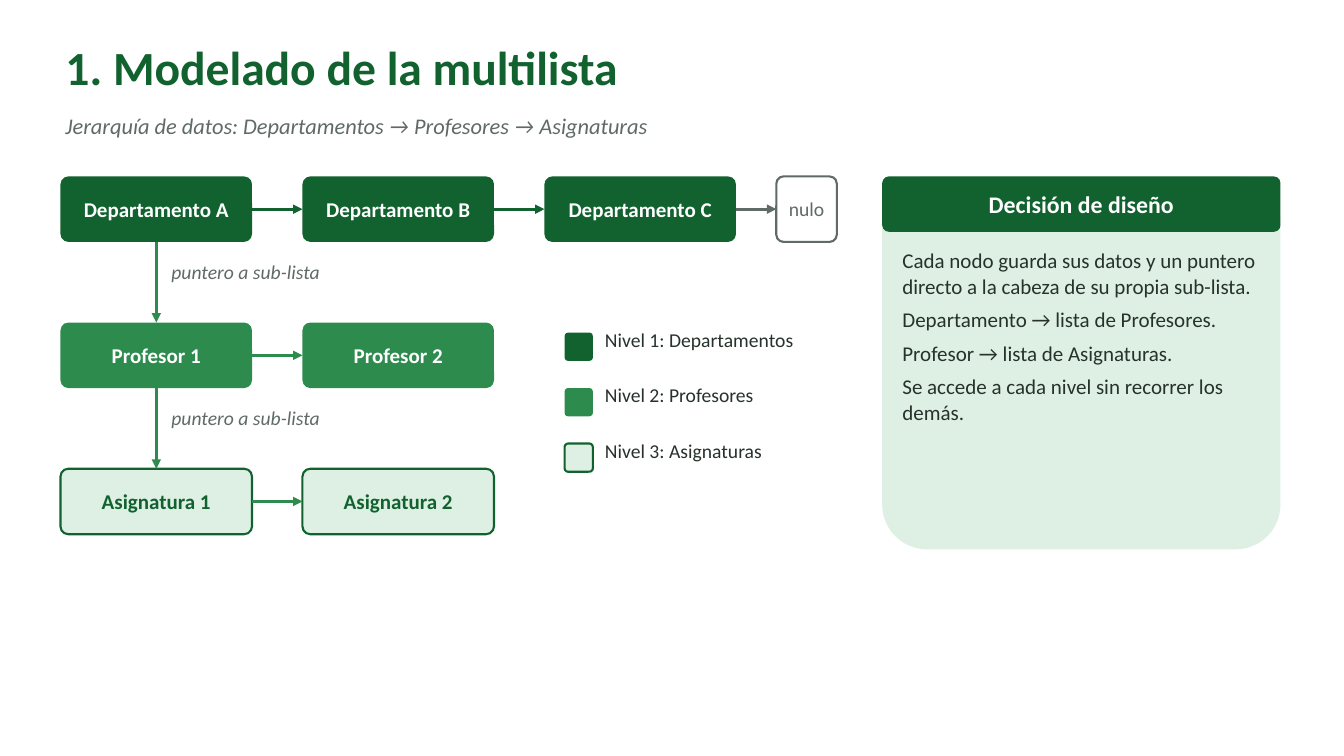
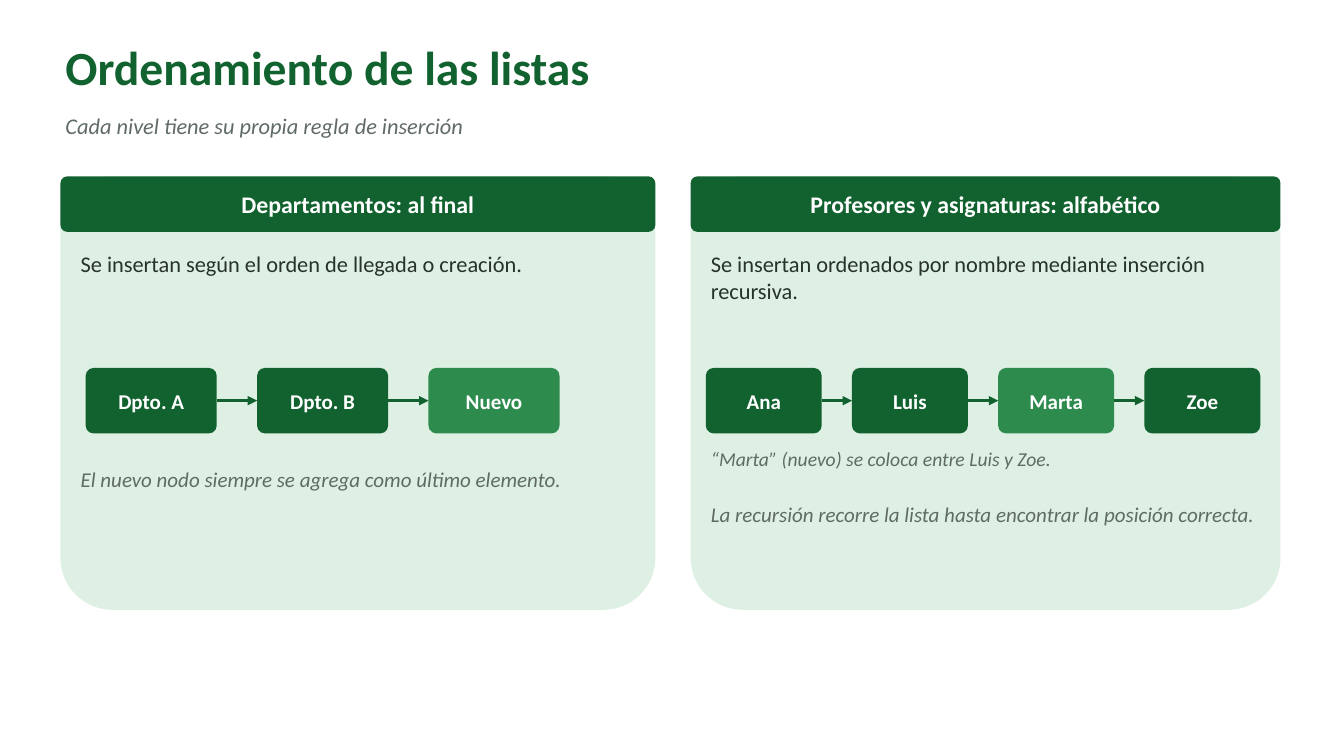
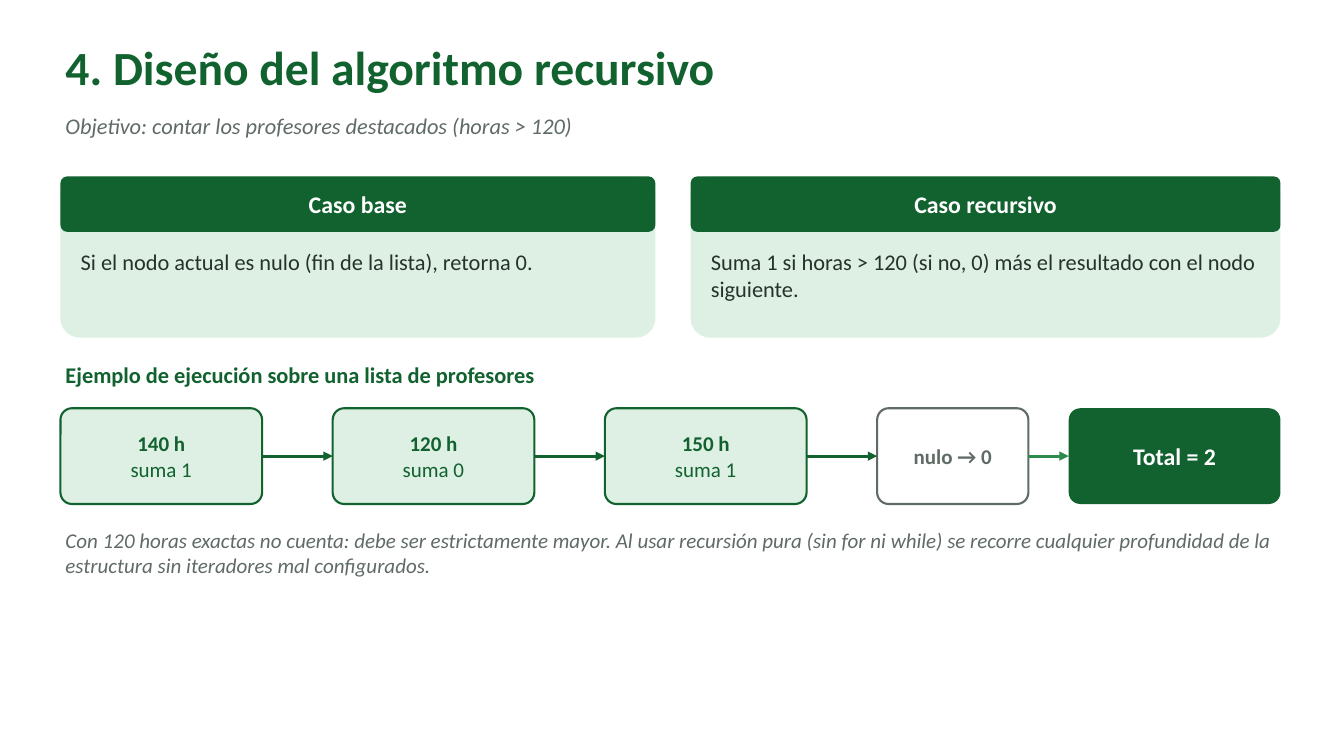
from dataclasses import dataclass, replace
from itertools import pairwise
from typing import NamedTuple

from lxml.etree import SubElement
from pptx import Presentation
from pptx.dml.color import RGBColor as Rgb
from pptx.enum.shapes import MSO_CONNECTOR as Wire, MSO_SHAPE as Kind
from pptx.enum.text import MSO_ANCHOR as Anchor, MSO_AUTO_SIZE as Fit, PP_ALIGN as Align
from pptx.oxml.ns import qn
from pptx.shapes.autoshape import Shape
from pptx.slide import Slide
from pptx.text.text import TextFrame as Frame
from pptx.util import Emu, Pt

PX = 9144
FACE = "Calibri"
HUES = {
    "deep": "11622F",
    "mid": "2E8B4E",
    "pale": "DDF0E3",
    "gray": "5F6B64",
    "ink": "26322B",
    "white": "FFFFFF",
}
LEFT, TOP, FULL = 60, 175, 1210
TOP_SITE, LEFT_SITE, LOW_SITE, RIGHT_SITE = range(4)


class Box(NamedTuple):
    x: int
    y: int
    w: int
    h: int


@dataclass(frozen=True)
class Font:
    size: int
    hue: str
    bold: bool = False
    slant: bool = False


@dataclass(frozen=True)
class Look:
    fill: str | None
    edge: str | None
    font: Font


@dataclass(frozen=True)
class Node:
    text: str
    x: int
    w: int
    look: Look
    link: str = "deep"


TITLE = Font(34, "deep", bold=True)
LEAD = Font(16, "gray", slant=True)
HEAD = Font(16, "deep", bold=True)
BODY = Font(16, "ink")
NOTE = Font(15, "gray", slant=True)
HINT = replace(NOTE, size=14)
KEY = Font(14, "ink")

DEEP = Look("deep", None, Font(15, "white", bold=True))
MID = replace(DEEP, fill="mid")
PALE = Look("pale", "deep", Font(15, "deep", bold=True))
NULL = Look(None, "gray", Font(15, "gray", bold=True))
CARD = Look("pale", None, BODY)
BAND = replace(DEEP, font=replace(DEEP.font, size=17))


def px(n: int) -> Emu:
    return Emu(n * PX)


def tint(hue: str) -> Rgb:
    return Rgb.from_string(HUES[hue])


def write(frame: Frame, text: str, font: Font, pad: tuple[int, int]) -> None:
    frame.word_wrap = True
    frame.margin_left = frame.margin_right = px(pad[0])
    frame.margin_top = frame.margin_bottom = px(pad[1])
    frame.text = text
    for para in frame.paragraphs:
        for run in para.runs:
            run.font.name = FACE
            run.font.size = Pt(font.size)
            run.font.bold = font.bold
            run.font.italic = font.slant
            run.font.color.rgb = tint(font.hue)


def label(slide: Slide, box: Box, text: str, font: Font) -> None:
    frame = slide.shapes.add_textbox(*map(px, box)).text_frame
    write(frame, text, font, (5, 3))
    frame.auto_size = Fit.SHAPE_TO_FIT_TEXT
    for para in frame.paragraphs[1:]:
        para.space_before = Pt(6)


def block(slide: Slide, box: Box, look: Look, text: str = "") -> Shape:
    shape = slide.shapes.add_shape(Kind.ROUNDED_RECTANGLE, *map(px, box))
    shape.adjustments[0] = 0.12
    shape.shadow.inherit = False
    if look.fill:
        shape.fill.solid()
        shape.fill.fore_color.rgb = tint(look.fill)
    else:
        shape.fill.background()
    if look.edge:
        shape.line.color.rgb = tint(look.edge)
        shape.line.width = Pt(1.5)
    else:
        shape.line.fill.background()
    if text:
        frame = shape.text_frame
        write(frame, text, look.font, (8, 4))
        frame.vertical_anchor = Anchor.MIDDLE
        for para in frame.paragraphs:
            para.alignment = Align.CENTER
        for para in frame.paragraphs[1:]:
            para.runs[0].font.bold = False
    return shape


def arrow(slide: Slide, start: Shape, end: Shape, hue: str, down: bool = False) -> None:
    line = slide.shapes.add_connector(Wire.STRAIGHT, 0, 0, 0, 0)
    line.begin_connect(start, LOW_SITE if down else RIGHT_SITE)
    line.end_connect(end, TOP_SITE if down else LEFT_SITE)
    line.line.color.rgb = tint(hue)
    line.line.width = Pt(2.25)
    SubElement(line.line._get_or_add_ln(), qn("a:tailEnd"), type="triangle")
    SubElement(line._element.spPr, qn("a:effectLst"))


def chain(slide: Slide, y: int, h: int, nodes: list[Node]) -> list[Shape]:
    shapes = [block(slide, Box(n.x, y, n.w, h), n.look, n.text) for n in nodes]
    for (start, end), node in zip(pairwise(shapes), nodes[1:]):
        arrow(slide, start, end, node.link)
    return shapes


def row(texts: list[str], x: int, w: int, gap: int, look: Look, link: str = "deep") -> list[Node]:
    return [Node(t, x + i * (w + gap), w, look, link) for i, t in enumerate(texts)]


def card(slide: Slide, box: Box, title: str, text: str, font: Font, drop: int, tall: int) -> None:
    block(slide, box, CARD)
    block(slide, box._replace(h=55), BAND, title)
    label(slide, Box(box.x + 15, box.y + drop, box.w - 30, tall), text, font)


def pair(slide: Slide, h: int, cards: list[tuple[str, str]], drop: int, tall: int) -> None:
    for (x, w), (title, text) in zip([(LEFT, 590), (685, 585)], cards):
        card(slide, Box(x, TOP, w, h), title, text, BODY, drop, tall)


def page(deck: Presentation, title: str, lead: str) -> Slide:
    slide = deck.slides.add_slide(deck.slide_layouts[6])
    label(slide, Box(LEFT, 35, FULL, 80), title, TITLE)
    label(slide, Box(LEFT, 108, FULL, 45), lead, LEAD)
    return slide


def model(deck: Presentation) -> None:
    slide = page(
        deck,
        "1. Modelado de la multilista",
        "Jerarquía de datos: Departamentos → Profesores → Asignaturas",
    )
    null = replace(NULL, font=Font(14, "gray"))
    tiers = [
        row(["Departamento A", "Departamento B", "Departamento C"], LEFT, 190, 50, DEEP)
        + [Node("nulo", 770, 60, null, "gray")],
        row(["Profesor 1", "Profesor 2"], LEFT, 190, 50, MID, "mid"),
        row(["Asignatura 1", "Asignatura 2"], LEFT, 190, 50, PALE, "mid"),
    ]
    heads = [chain(slide, TOP + i * 145, 65, tier)[0] for i, tier in enumerate(tiers)]
    for i, (start, end) in enumerate(pairwise(heads)):
        arrow(slide, start, end, "mid", down=True)
        label(slide, Box(165, 255 + i * 145, 200, 40), "puntero a sub-lista", HINT)
    names = ["Departamentos", "Profesores", "Asignaturas"]
    for i, (look, name) in enumerate(zip([DEEP, MID, PALE], names)):
        y = 330 + i * 55
        block(slide, Box(560, y, 28, 28), look)
        label(slide, Box(595, y - 8, 260, 40), f"Nivel {i + 1}: {name}", KEY)
    facts = [
        "Cada nodo guarda sus datos y un puntero directo a la cabeza de su propia sub-lista.",
        "Departamento → lista de Profesores.",
        "Profesor → lista de Asignaturas.",
        "Se accede a cada nivel sin recorrer los demás.",
    ]
    card(slide, Box(875, TOP, 395, 370), "Decisión de diseño", "\n".join(facts),
         replace(BODY, size=15), 68, 290)


def order(deck: Presentation) -> None:
    slide = page(
        deck,
        "Ordenamiento de las listas",
        "Cada nivel tiene su propia regla de inserción",
    )
    pair(slide, 430, [
        ("Departamentos: al final", "Se insertan según el orden de llegada o creación."),
        ("Profesores y asignaturas: alfabético",
         "Se insertan ordenados por nombre mediante inserción recursiva."),
    ], 70, 90)
    units = row(["Dpto. A", "Dpto. B", "Nuevo"], 85, 130, 40, DEEP)
    staff = row(["Ana", "Luis", "Marta", "Zoe"], 700, 115, 30, DEEP)
    for nodes in (units, staff):
        nodes[2] = replace(nodes[2], look=MID)
        chain(slide, 365, 65, nodes)
    label(slide, Box(75, 460, 560, 130),
          "El nuevo nodo siempre se agrega como último elemento.", NOTE)
    label(slide, Box(700, 440, 555, 40), "“Marta” (nuevo) se coloca entre Luis y Zoe.", HINT)
    label(slide, Box(700, 495, 555, 90),
          "La recursión recorre la lista hasta encontrar la posición correcta.", NOTE)


def count(deck: Presentation) -> None:
    slide = page(
        deck,
        "4. Diseño del algoritmo recursivo",
        "Objetivo: contar los profesores destacados (horas > 120)",
    )
    pair(slide, 160, [
        ("Caso base", "Si el nodo actual es nulo (fin de la lista), retorna 0."),
        ("Caso recursivo",
         "Suma 1 si horas > 120 (si no, 0) más el resultado con el nodo siguiente."),
    ], 68, 80)
    label(slide, Box(LEFT, 355, FULL, 40),
          "Ejemplo de ejecución sobre una lista de profesores", HEAD)
    steps = row(["140 h\nsuma 1", "120 h\nsuma 0", "150 h\nsuma 1"], LEFT, 200, 70, PALE)
    ends = [Node("nulo → 0", 870, 150, NULL), Node("Total = 2", 1060, 210, BAND, "mid")]
    chain(slide, 405, 95, steps + ends)
    label(slide, Box(LEFT, 520, FULL, 90),
          "Con 120 horas exactas no cuenta: debe ser estrictamente mayor. "
          "Al usar recursión pura (sin for ni while) se recorre cualquier profundidad "
          "de la estructura sin iteradores mal configurados.", NOTE)


def main() -> None:
    deck = Presentation()
    deck.slide_width, deck.slide_height = px(1333), px(750)
    for build in (model, order, count):
        build(deck)
    deck.save("out.pptx")


if __name__ == "__main__":
    main()
